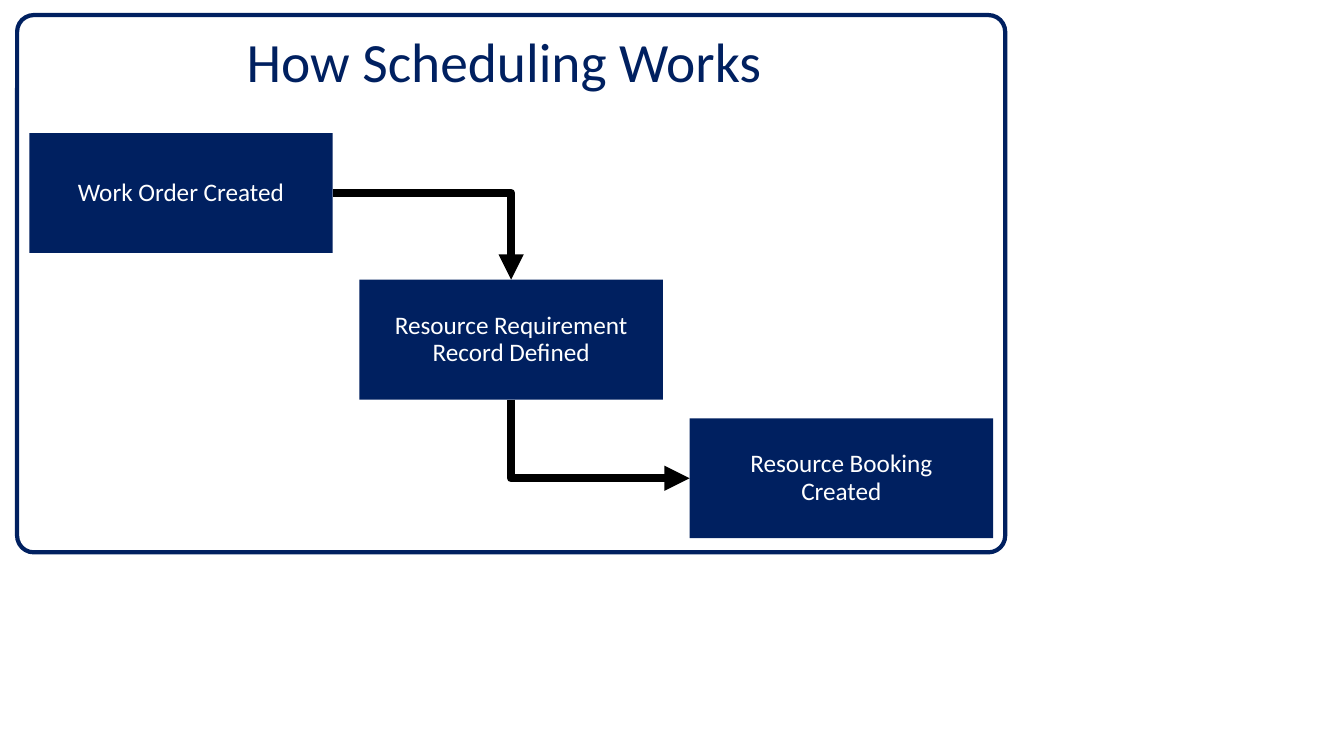
from lxml import etree
from pptx import Presentation
from pptx.dml.color import RGBColor
from pptx.enum.shapes import MSO_CONNECTOR, MSO_SHAPE
from pptx.enum.text import MSO_ANCHOR, PP_ALIGN
from pptx.oxml.ns import qn
from pptx.util import Inches, Pt

RECTANGLE = MSO_SHAPE.RECTANGLE
ROUNDED = MSO_SHAPE.ROUNDED_RECTANGLE
ELBOW = MSO_CONNECTOR.ELBOW
MIDDLE = MSO_ANCHOR.MIDDLE
TOP = MSO_ANCHOR.TOP
CENTER = PP_ALIGN.CENTER

NAVY, WHITE, BLACK = "002060", "FFFFFF", "000000"
STEPS = [
    "Work Order Created",
    "Resource Requirement Record Defined",
    "Resource Booking Created",
]
STEP_WIDTH, STEP_HEIGHT = 3.01, 1.19
COLUMN_PITCH, ROW_PITCH = 3.275, 1.415
FRAME = (0.17, 0.15, 9.8, 5.33)


def color(value):
    return RGBColor.from_string(value)


def apply_format(target, values):
    for name, value in values.items():
        setattr(target, name, value)


def write_text(shape, text, size, font_color, spacing, frame_format):
    frame = shape.text_frame
    apply_format(frame, {"word_wrap": True, **frame_format})
    paragraph = frame.paragraphs[0]
    paragraph.text = text
    apply_format(paragraph, {"alignment": CENTER, "line_spacing": spacing})
    apply_format(paragraph.font, {"name": "Calibri", "size": Pt(size)})
    paragraph.font.color.rgb = color(font_color)


def add_box(slide, kind, box, fill):
    shape = slide.shapes.add_shape(kind, *map(Inches, box))
    shape.shadow.inherit = False
    shape.fill.solid()
    shape.fill.fore_color.rgb = color(fill)
    shape.line.fill.background()
    return shape


def add_frame(slide, box):
    frame = add_box(slide, ROUNDED, box, WHITE)
    frame.adjustments[0] = 0.031
    frame.line.color.rgb = color(NAVY)
    frame.line.width = Pt(3)


def add_title(slide, box):
    left, top, width, height = box
    title_box = (left + 0.05, top + 0.25, width - 0.24, 0.6)
    title = slide.shapes.add_textbox(*map(Inches, title_box))
    write_text(title, "How Scheduling Works", 39.6, NAVY, 0.7,
               {"vertical_anchor": TOP})


def add_step(slide, text, box):
    step = add_box(slide, RECTANGLE, box, NAVY)
    write_text(step, text, 18, WHITE, 0.9, {
        "vertical_anchor": MIDDLE,
        "margin_left": Inches(0.2), "margin_right": Inches(0.2),
        "margin_top": Inches(0.16), "margin_bottom": Inches(0.16),
    })


def add_bent_arrow(slide, start, end, down_first=False):
    if down_first:
        center_x, center_y = (start[0] + end[0]) / 2, (start[1] + end[1]) / 2
        half_width, half_height = (end[1] - start[1]) / 2, (end[0] - start[0]) / 2
        start = (center_x + half_width, center_y - half_height)
        end = (center_x - half_width, center_y + half_height)
    arrow = slide.shapes.add_connector(ELBOW, *map(Inches, start + end))
    arrow.line.color.rgb = color(BLACK)
    arrow.line.width = Pt(6)
    properties = arrow._element.spPr
    properties.find(qn("a:prstGeom")).set("prst", "bentConnector2")
    if down_first:
        properties.find(qn("a:xfrm")).set("rot", str(270 * 60000))
    etree.SubElement(properties.find(qn("a:ln")), qn("a:tailEnd"), type="triangle")
    etree.SubElement(properties, qn("a:effectLst"))


def add_staircase(slide, box):
    left, top = box[0] + 0.12, box[1] + 1.17
    boxes = [(left + index * COLUMN_PITCH, top + index * ROW_PITCH,
              STEP_WIDTH, STEP_HEIGHT) for index in range(len(STEPS))]
    boxes[1] = (boxes[1][0], boxes[1][1] + 0.04, STEP_WIDTH, STEP_HEIGHT)
    for text, step_box in zip(STEPS, boxes):
        add_step(slide, text, step_box)
    first, second, third = boxes
    middle_x = second[0] + STEP_WIDTH / 2
    add_bent_arrow(slide, (first[0] + STEP_WIDTH, first[1] + STEP_HEIGHT / 2),
                   (middle_x, second[1]))
    add_bent_arrow(slide, (middle_x, second[1] + STEP_HEIGHT),
                   (third[0], third[1] + STEP_HEIGHT / 2), down_first=True)


def main():
    presentation = Presentation()
    apply_format(presentation, {"slide_width": Inches(13.33),
                                "slide_height": Inches(7.5)})
    slide = presentation.slides.add_slide(presentation.slide_layouts[6])
    add_frame(slide, FRAME)
    add_staircase(slide, FRAME)
    add_title(slide, FRAME)
    presentation.save("out.pptx")


if __name__ == "__main__":
    main()
